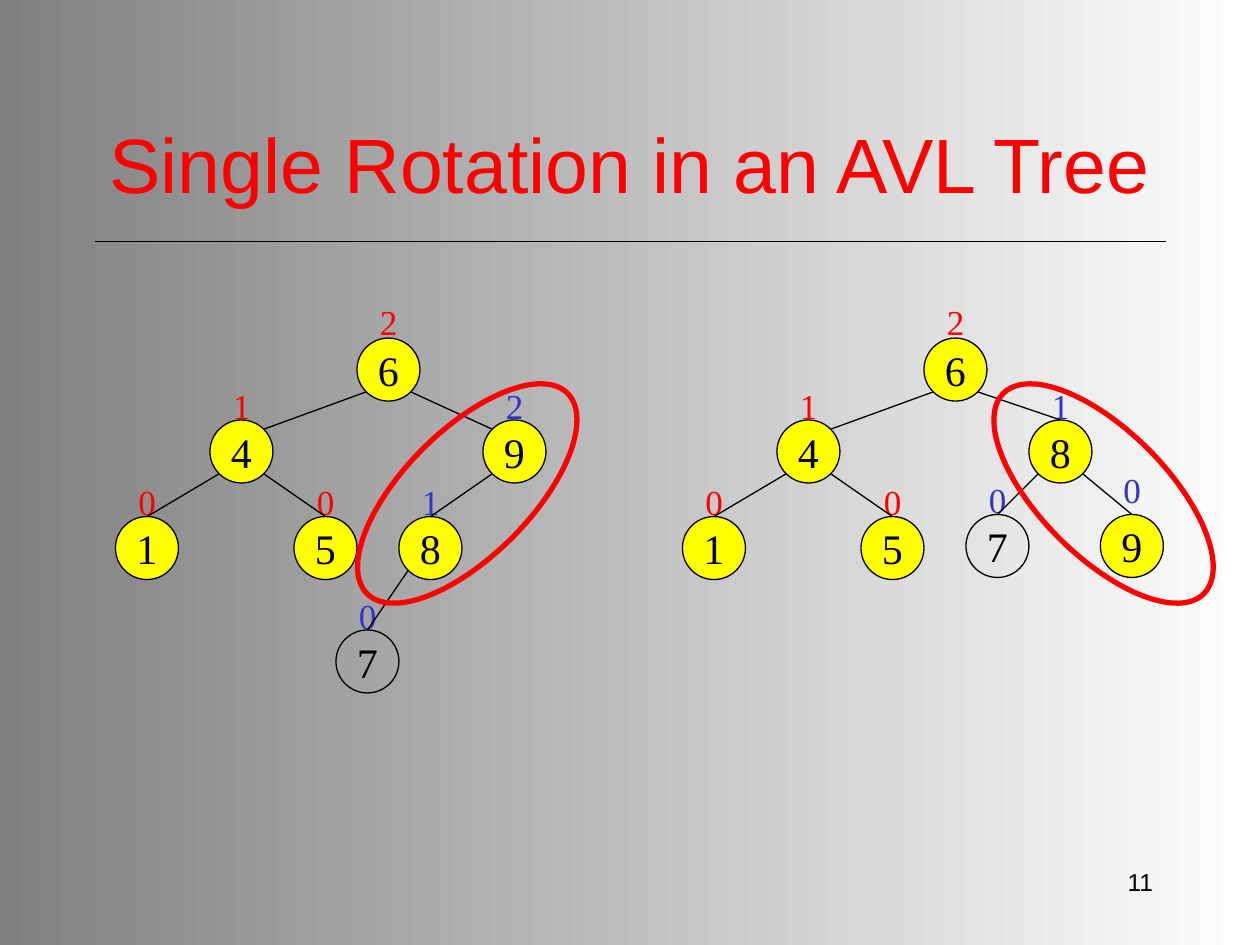
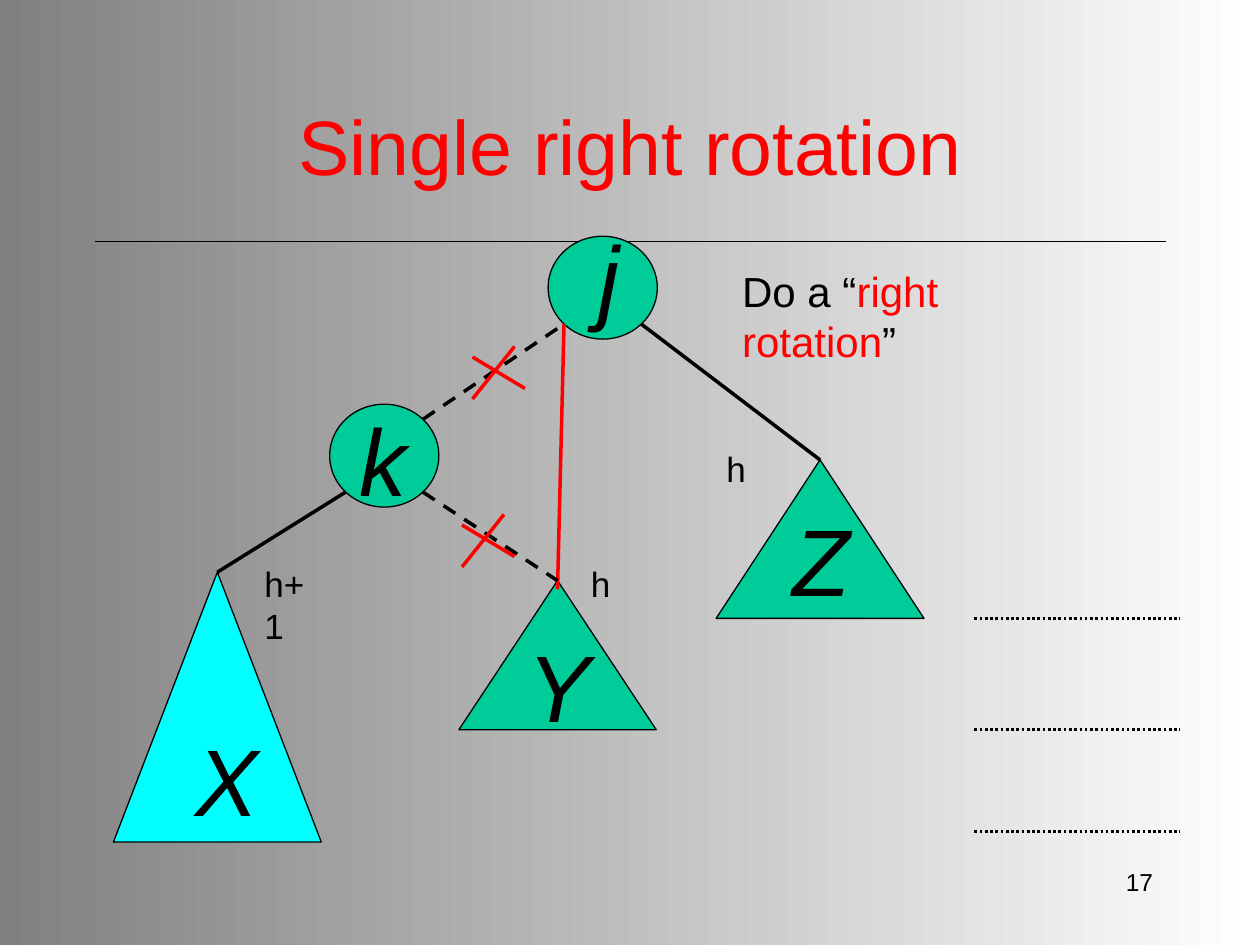
from dataclasses import dataclass
from pptx import Presentation
from pptx.dml.color import RGBColor
from pptx.enum.dml import MSO_LINE
from pptx.enum.shapes import MSO_CONNECTOR, MSO_SHAPE
from pptx.enum.text import MSO_ANCHOR, PP_ALIGN
from pptx.oxml.ns import qn
from pptx.util import Inches, Pt

STRAIGHT = MSO_CONNECTOR.STRAIGHT
OVAL, TRIANGLE = MSO_SHAPE.OVAL, MSO_SHAPE.ISOSCELES_TRIANGLE
LEFT, CENTER, RIGHT = PP_ALIGN.LEFT, PP_ALIGN.CENTER, PP_ALIGN.RIGHT
TOP, MIDDLE = MSO_ANCHOR.TOP, MSO_ANCHOR.MIDDLE
DASH, DOTS = MSO_LINE.DASH, MSO_LINE.ROUND_DOT


@dataclass(frozen=True)
class Theme:
    black: str = "000000"
    white: str = "FFFFFF"
    gray: str = "808080"
    red: str = "FF0000"
    blue: str = "3333CC"
    yellow: str = "FFFF00"
    green: str = "00CC99"
    cyan: str = "00FFFF"
    sans: str = "Arial"
    serif: str = "Times New Roman"
    title: int = 44
    letter: int = 54
    body: int = 24
    label: int = 20
    number: int = 14
    thin: float = 0.75
    medium: float = 2
    thick: float = 3


theme = Theme()

# The grid has 120 columns and 90 rows, twelve to the inch
CELL = Inches(1) // 12
COLUMNS, ROWS = 120, 90
DIAGONAL = 0.146  # share of an oval's box cut off at its 45° points


def add_box(page, area, spans=(), kind=None, fill=None, line=theme.black, weight=theme.thin,
            font=theme.sans, size=theme.label, align=LEFT, anchor=TOP, wrap=False):
    """Add a shape, or a text box if no kind is given; spans are (text, colour) pairs."""
    place = [round(length * CELL) for length in area]
    if kind is None:
        box = page.shapes.add_textbox(*place)
    else:
        box = page.shapes.add_shape(kind, *place)
        box.shadow.inherit = False
        box.line.color.rgb = RGBColor.from_string(line)
        box.line.width = Pt(weight)
        if fill:
            box.fill.solid()
            box.fill.fore_color.rgb = RGBColor.from_string(fill)
        else:
            box.fill.background()
    frame = box.text_frame
    frame.word_wrap = wrap
    frame.vertical_anchor = anchor
    para = frame.paragraphs[0]
    para.alignment = align
    for text, color in spans:
        span = para.add_run()
        span.text = text
        span.font.name = font
        span.font.size = Pt(size)
        span.font.color.rgb = RGBColor.from_string(color)
    return box


def add_line(page, start, end, color=theme.black, weight=theme.thin, dash=None):
    """Draw a line between grid points; an end given as a shape joins its top."""
    joined = not isinstance(end, tuple)
    points = start + (start if joined else end)
    connector = page.shapes.add_connector(STRAIGHT, *[round(value * CELL) for value in points])
    if joined:
        connector.end_connect(end, 0)
    connector.line.color.rgb = RGBColor.from_string(color)
    connector.line.width = Pt(weight)
    if dash:
        connector.line.dash_style = dash
    properties = connector._element.spPr
    properties.append(properties.makeelement(qn("a:effectLst"), {}))


deck = Presentation()
deck.slide_width, deck.slide_height = COLUMNS * CELL, ROWS * CELL

# Shared background, rule, title and slide number
pages = []
for title, title_area, number in [
    ("Single Rotation in an AVL Tree", (9, 8, 102, 15), "11"),
    ("Single right rotation", (8.8, 8.5, 102.4, 10.6), "17"),
]:
    page = deck.slides.add_slide(deck.slide_layouts[6])
    background = page.background.fill
    background.gradient()
    background.gradient_angle = 180
    for stop, color in zip(background.gradient_stops, (theme.white, theme.gray)):
        stop.color.rgb = RGBColor.from_string(color)
    add_line(page, (9, 23), (111, 23))
    add_box(page, title_area, [(title, theme.red)], size=theme.title,
            align=CENTER, anchor=MIDDLE, wrap=True)
    add_box(page, (86, 82, 25, 6), [(number, theme.black)], size=theme.number,
            align=RIGHT, wrap=True)
    pages.append(page)
tree_page, rotation_page = pages

# Trees before and after the rotation
NODE = 6
SHIFT = 54  # columns from the left tree to the right one
# node: column, row, height, height colour, rows from label to node
shared_nodes = {
    "6": (34, 32.2, "2", theme.red, 4.2),
    "4": (20, 40, "1", theme.red, 4),
    "1": (11, 49.2, "0", theme.red, 4),
    "5": (28, 49.2, "0", theme.red, 4),
}
before = {
    "9": (46, 40, "2", theme.blue, 4),
    "8": (38, 49.2, "1", theme.blue, 4),
    "7": (32, 60, "0", theme.blue, 4),
}
after = {
    "8": (44, 40, "1", theme.blue, 4),
    "9": (50.8, 49, "0", theme.blue, 5),
    "7": (38, 49, "0", theme.blue, 4),
}
# parent, child; the shoulder edges end at the child's upper diagonal
shared_edges = ["64", "41", "45"]
before_edges = ["69", "98", "87"]
after_edges = ["68", "89", "87"]
shoulder_edges = ["64", "69"]

for shift, own_nodes, own_edges in [(0, before, before_edges), (SHIFT, after, after_edges)]:
    nodes = {**shared_nodes, **own_nodes}
    for column, row, height, color, gap in nodes.values():
        add_box(tree_page, (column + shift + 1, row - gap, 4, 5.2), [(height, color)],
                font=theme.serif)
    circles = {}
    for value, (column, row, *_) in nodes.items():
        circles[value] = add_box(
            tree_page, (column + shift, row, NODE, NODE), [(value, theme.black)], OVAL,
            fill=None if value == "7" else theme.yellow, font=theme.serif,
            size=theme.body, align=CENTER, anchor=MIDDLE)
    near, far = NODE * DIAGONAL, NODE * (1 - DIAGONAL)
    for edge in shared_edges + own_edges:
        parent, child = edge
        column, row = nodes[parent][:2]
        child_column, child_row = nodes[child][:2]
        leans_left = child_column < column
        start = (column + shift + (near if leans_left else far), row + far)
        if edge in shoulder_edges:
            end = (child_column + shift + (far if leans_left else near), child_row + near)
        else:
            end = circles[child]
        add_line(tree_page, start, end)

# Rings around the rotated pair
for column, angle in [(31, 315), (91.6, 45)]:
    ring = add_box(tree_page, (column, 41, 27, 12), kind=OVAL, line=theme.red,
                   weight=theme.thick)
    ring.rotation = angle

# Nodes and subtrees of the right rotation
parts = {
    "j": (OVAL, (52.2, 22.5, 10.4, 9.8), theme.green),
    "k": (OVAL, (31.4, 38.5, 10.4, 9.8), theme.green),
    "X": (TRIANGLE, (10.8, 54.5, 19.8, 25.7), theme.cyan),
    "Y": (TRIANGLE, (43.7, 55.3, 18.8, 14.2), theme.green),
    "Z": (TRIANGLE, (68.2, 43.8, 19.8, 15.1), theme.green),
}
shapes = {name: add_box(rotation_page, area, kind=kind, fill=fill)
          for name, (kind, area, fill) in parts.items()}

# Diagonal points of the two ovals: lower left, lower right, upper right
corners = {}
for name in "jk":
    column, row, width, height = parts[name][1]
    for corner, across, down in [("lower left", DIAGONAL, 1 - DIAGONAL),
                                 ("lower right", 1 - DIAGONAL, 1 - DIAGONAL),
                                 ("upper right", 1 - DIAGONAL, DIAGONAL)]:
        corners[name, corner] = (column + width * across, row + height * down)

# Kept, removed and new links
for start, end, color, dash in [
    (corners["k", "lower left"], shapes["X"], theme.black, None),
    (corners["j", "lower right"], shapes["Z"], theme.black, None),
    (corners["j", "lower left"], (53.1, 56.1), theme.red, None),
    (corners["k", "upper right"], corners["j", "lower left"], theme.black, DASH),
    (corners["k", "lower right"], shapes["Y"], theme.black, DASH),
]:
    add_line(rotation_page, start, end, color, theme.medium, dash)

# Crosses on the removed links
for column, row in [(45, 33), (44, 49)]:
    add_line(rotation_page, (column, row + 1), (column + 5, row + 4), theme.red, theme.medium)
    add_line(rotation_page, (column + 4, row), (column, row + 5), theme.red, theme.medium)

# Dotted level marks
for row in (58.9, 69.5, 79.2):
    add_line(rotation_page, (92.8, row), (112.4, row), weight=1.5, dash=DOTS)

# Letters on the nodes and subtrees
for letter, column, row in [("j", 55.8, 19.8), ("k", 33.1, 37.2), ("X", 17.4, 67.7),
                            ("Y", 49.1, 58.7), ("Z", 74.3, 46.7)]:
    box = add_box(rotation_page, (column, row, 6.4, 12), [(letter, theme.black)],
                  size=theme.letter, wrap=True)
    box.text_frame.margin_top = Inches(0.09)
    box.text_frame.paragraphs[0].runs[0].font.italic = True

# Subtree heights and the instruction
for height, column, row, width in [("h", 68, 42, 4.2), ("h+1", 24, 53, 8), ("h", 55.1, 53, 4.2)]:
    add_box(rotation_page, (column, row, width, 5.2), [(height, theme.black)])
add_box(rotation_page, (69.5, 24.7, 36.8, 6),
        [("Do a “", theme.black), ("right rotation", theme.red), ("”", theme.black)],
        size=theme.body)

deck.save("out.pptx")
